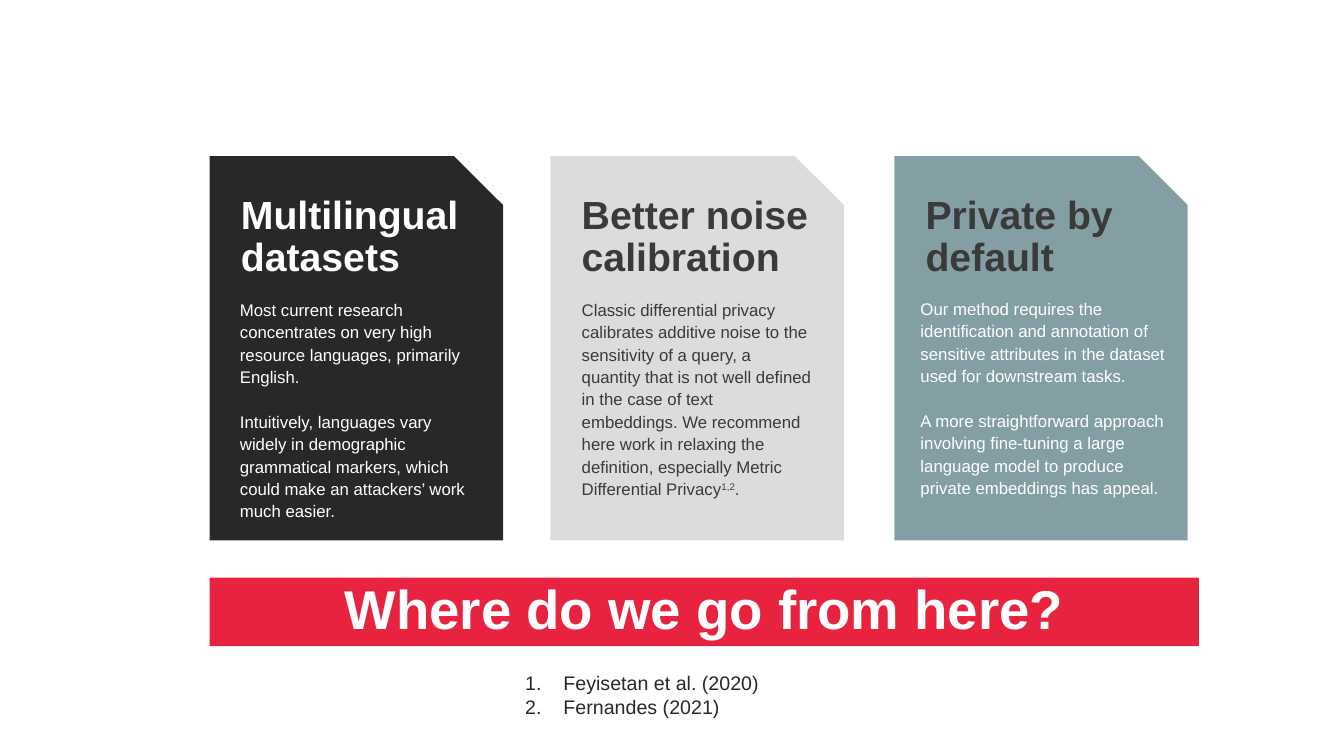
from lxml import etree
from pptx import Presentation
from pptx import util as u
from pptx.dml.color import RGBColor
from pptx.enum import shapes, text
from pptx.oxml import ns

INK = "272928"
GREY = "3A3A3A"
WHITE = "FFFFFF"
SIDE_INSET = 0.31

CARDS = [
    dict(left=2.08, fill=INK, title="Multilingual datasets", title_color=WHITE,
         body_color=WHITE, body_box=(2.07, 2.95, 2.9, 2.23),
         body=[["Most current research concentrates on very high resource languages, "
                "primarily English."],
               ["Intuitively, languages vary widely in demographic grammatical markers, "
                "which could make an attackers’ work much easier."]]),
    dict(left=5.46, fill="DBDDDB", title="Better noise calibration", title_color=GREY,
         body_color=GREY, body_box=(5.46, 2.95, 2.9, 2),
         body=[["Classic differential privacy calibrates additive noise to the sensitivity "
                "of a query, a quantity that is not well defined in the case of text "
                "embeddings. We recommend here work in relaxing the definition, "
                "especially Metric Differential Privacy", "1,2", "."]]),
    dict(left=8.87, fill="849FA4", title="Private by default", title_color=GREY,
         body_color=WHITE, body_box=(8.82, 2.94, 3.06, 2),
         body=[["Our method requires the identification and annotation of sensitive "
                "attributes in the dataset used for downstream tasks."],
               ["A more straightforward approach involving fine-tuning a large language "
                "model to produce private embeddings has appeal."]]),
]


def rgb(value):
    return RGBColor.from_string(value)


def inches(box):
    return [u.Inches(length) for length in box]


def style(span, size, color, bold=False):
    span.font.name = "Arial"
    span.font.size = u.Pt(size)
    span.font.bold = bold
    span.font.color.rgb = rgb(color)


def add_panel(page, kind, box, fill):
    panel = page.shapes.add_shape(kind, *inches(box))
    panel.shadow.inherit = False
    panel.fill.solid()
    panel.fill.fore_color.rgb = rgb(fill)
    panel.line.fill.background()
    return panel


def set_insets(frame, left, top, right, bottom):
    frame.word_wrap = True
    frame.margin_left, frame.margin_top, frame.margin_right, frame.margin_bottom = inches(
        (left, top, right, bottom))


def add_text(page, box, insets):
    frame = page.shapes.add_textbox(*inches(box)).text_frame
    set_insets(frame, *insets)
    return frame


def add_card(page, left, fill, title, title_color, body, body_color, body_box):
    top, width = 1.55, 2.91
    add_panel(page, shapes.MSO_SHAPE.SNIP_1_RECTANGLE, (left, top, width, 3.81), fill)

    heading = add_text(page, (left, top, width - 0.02, 1.4),
                       (SIDE_INSET, 0.39, SIDE_INSET, 0.05))
    heading.text = title
    para = heading.paragraphs[0]
    para.line_spacing = 0.9
    para.space_before = u.Pt(10)
    style(para.runs[0], 28, title_color, True)

    frame = add_text(page, body_box, (SIDE_INSET, 0, SIDE_INSET, 0))
    for index, pieces in enumerate(body):
        para = frame.add_paragraph() if index else frame.paragraphs[0]
        para.line_spacing = u.Pt(16)
        para.space_before = u.Pt(16 if index else 0)
        for position, piece in enumerate(pieces):
            span = para.add_run()
            span.text = piece
            style(span, 12, body_color)
            if position == 1:
                span.font._element.set("baseline", "30000")


def add_banner(page, box, title):
    banner = add_panel(page, shapes.MSO_SHAPE.RECTANGLE, box, "E82340")
    frame = banner.text_frame
    set_insets(frame, SIDE_INSET, 0, SIDE_INSET, 0)
    frame.vertical_anchor = text.MSO_ANCHOR.MIDDLE
    frame.text = title
    para = frame.paragraphs[0]
    para.alignment = text.PP_ALIGN.CENTER
    para.line_spacing = 0.9
    style(para.runs[0], 39, WHITE, True)


def add_references(page, box, entries):
    frame = add_text(page, box, (0.1, 0.05, 0.1, 0.05))
    frame.text = "\n".join(entries)
    indent = u.Inches(0.38)
    for para in frame.paragraphs:
        style(para.runs[0], 14, INK)
        properties = para._p.get_or_add_pPr()
        properties.set("marL", str(indent))
        properties.set("indent", str(-indent))
        etree.SubElement(properties, ns.qn("a:buAutoNum"), type="arabicPeriod")


def main():
    deck = Presentation()
    deck.slide_width, deck.slide_height = inches((13.33, 7.5))
    page = deck.slides.add_slide(deck.slide_layouts[6])
    add_banner(page, (2.08, 5.73, 9.81, 0.68), "Where do we go from here?")
    for card in CARDS:
        add_card(page, **card)
    add_references(page, (5.11, 6.61, 3.25, 0.57),
                   ["Feyisetan et al. (2020)", "Fernandes (2021)"])
    deck.save("out.pptx")


if __name__ == "__main__":
    main()
